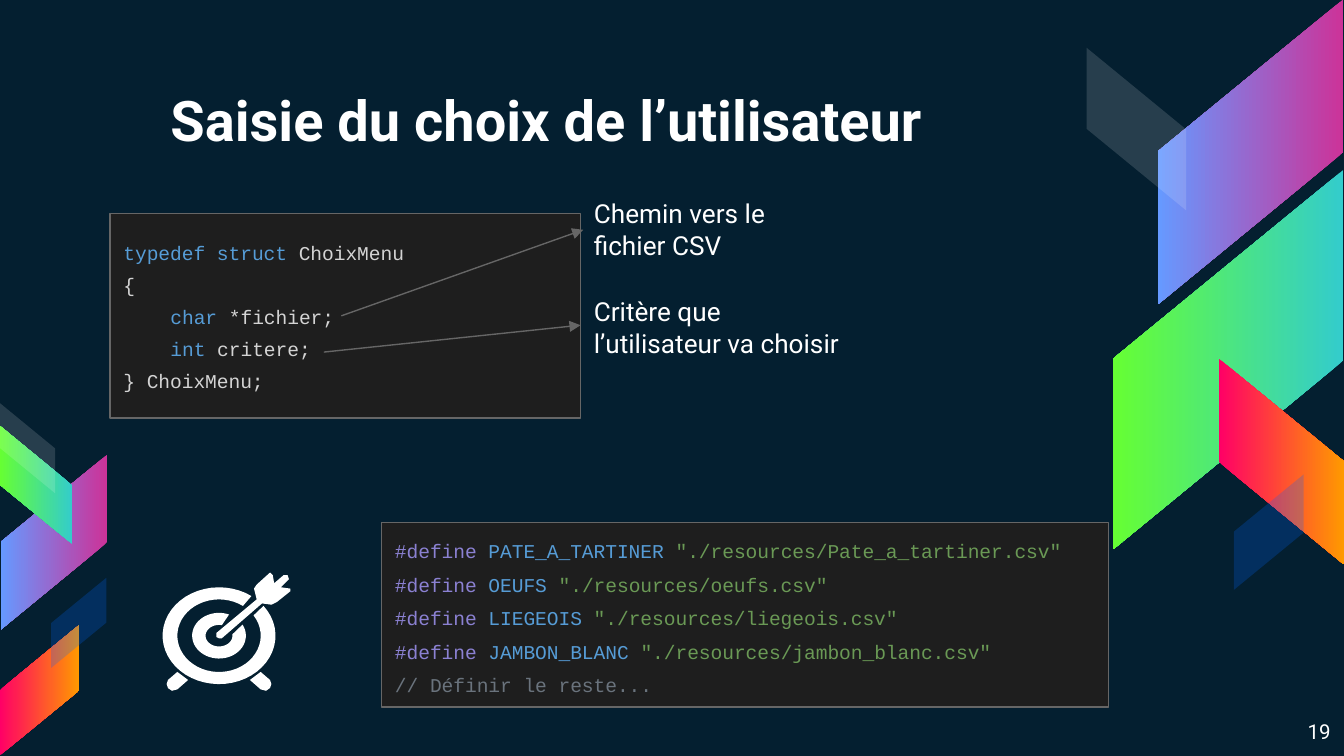
from math import cos, radians, sin

from lxml import etree
from pptx import Presentation
from pptx.dml.color import RGBColor
from pptx.enum.shapes import MSO_CONNECTOR, MSO_SHAPE
from pptx.enum.text import MSO_ANCHOR, PP_ALIGN
from pptx.oxml.ns import qn
from pptx.util import Inches, Pt

WHITE, GREY, PANEL = "FFFFFF", "666666", "1E1E1E"
KEYWORD, PLAIN, DIRECTIVE, STRING, COMMENT = "569CD6", "D4D4D4", "8B81D2", "6A9955", "6A737D"
PINK_BLUE, TEAL_GREEN, RED_ORANGE = ("CC3399", "6699FF"), ("33CCCC", "66FF33"), ("FF0066", "FF9900")
GLASS_WHITE, GLASS_BLUE = (WHITE, 14), ("0066FF", 23)

STRUCT_CODE = [
    [("typedef", KEYWORD), (" ", PLAIN), ("struct", KEYWORD), (" ChoixMenu", PLAIN)],
    [("{", PLAIN)],
    [("char", KEYWORD), (" *fichier;", PLAIN)],
    [("int", KEYWORD), (" critere;", PLAIN)],
    [("} ChoixMenu;", PLAIN)],
]
FILES = [
    ("PATE_A_TARTINER", "Pate_a_tartiner"),
    ("OEUFS", "oeufs"),
    ("LIEGEOIS", "liegeois"),
    ("JAMBON_BLANC", "jambon_blanc"),
]
DEFINE_CODE = [
    [("#define ", DIRECTIVE), (name + " ", KEYWORD), (f'"./resources/{file}.csv"', STRING)]
    for name, file in FILES
] + [[("// Définir le reste...", COMMENT)]]

# Ribbons: left, top, width, height (relative to the region), rotation, mirrored, colours
RIGHT_RIBBONS = [
    (0.44, 0.44, 2.27, 1.38, 90, True, PINK_BLUE),
    (0, 1.82, 2.82, 1.71, 90, True, TEAL_GREEN),
    (1.04, 2.97, 1.53, 0.93, 270, False, RED_ORANGE),
    (0.12, 0.59, 1.21, 0.74, 270, False, GLASS_WHITE),
    (1.28, 3.7, 0.86, 0.52, 270, True, GLASS_BLUE),
]
LEFT_RIBBONS = [
    (0, 0.51, 1.3, 0.79, 90, True, PINK_BLUE),
    (0.08, 0.21, 0.88, 0.54, 90, False, TEAL_GREEN),
    (0.06, 1.71, 0.97, 0.59, 270, True, RED_ORANGE),
    (0.12, 0, 0.67, 0.41, 270, False, GLASS_WHITE),
    (0.5, 1.3, 0.67, 0.41, 270, True, GLASS_BLUE),
]

# Target outlines, relative to the centre of the rings
FOOT = [(-0.31, 0.27), (-0.38, 0.33), (-0.39, 0.36), (-0.38, 0.39),
        (-0.35, 0.41), (-0.31, 0.4), (-0.23, 0.33), (-0.27, 0.3)]
DART = [(0.38, -0.47), (0.28, -0.38), (0.26, -0.35), (0.28, -0.27), (-0.02, -0.02),
        (-0.02, 0.01), (0, 0.02), (0.02, 0.02), (0.32, -0.24), (0.39, -0.23),
        (0.43, -0.25), (0.53, -0.33), (0.53, -0.35), (0.46, -0.36), (0.52, -0.42),
        (0.51, -0.45), (0.48, -0.45), (0.41, -0.39), (0.4, -0.45)]


def color(value):
    return RGBColor.from_string(value)


def write(shape, lines, size=14, font="Roboto", bold=False, align=PP_ALIGN.LEFT,
          anchor=MSO_ANCHOR.TOP, spacing=None, indents=(), bottom=0.1):
    """Fill a shape with lines, each a list of (text, colour) runs."""
    frame = shape.text_frame
    frame.word_wrap = True
    frame.vertical_anchor = anchor
    frame.margin_left = frame.margin_right = frame.margin_top = Inches(0.1)
    frame.margin_bottom = Inches(bottom)
    for index, line in enumerate(lines):
        paragraph = frame.add_paragraph() if index else frame.paragraphs[0]
        paragraph.alignment = align
        paragraph.line_spacing = spacing
        if index in indents:
            paragraph._p.get_or_add_pPr().set("marL", str(Inches(0.35)))
        for text, tint in line:
            run = paragraph.add_run()
            run.text = text
            run.font.size, run.font.name, run.font.bold = Pt(size), font, bold
            run.font.color.rgb = color(tint)


def add_label(slide, box, text, **style):
    shape = slide.shapes.add_textbox(*map(Inches, box))
    write(shape, [[(text, WHITE)]], **style)


def add_ribbons(slide, left, top, ribbons):
    for x, y, width, height, rotation, mirrored, (first, second) in ribbons:
        shape = slide.shapes.add_shape(MSO_SHAPE.PARALLELOGRAM, Inches(left + x), Inches(top + y),
                                       Inches(width), Inches(height))
        shape.shadow.inherit = False
        shape.adjustments[0] = 0.82
        shape.rotation = rotation
        if mirrored:
            shape._element.spPr.find(qn("a:xfrm")).set("flipH", "1")
        shape.line.fill.background()
        if isinstance(second, str):
            shape.fill.gradient()
            shape.fill.gradient_angle = 270
            for stop, tint in zip(shape.fill.gradient_stops, (first, second)):
                stop.color.rgb = color(tint)
        else:  # one colour with an opacity in percent
            shape.fill.solid()
            shape.fill.fore_color.rgb = color(first)
            fill_color = shape._element.spPr.find(qn("a:solidFill"))[0]
            etree.SubElement(fill_color, qn("a:alpha")).set("val", str(second * 1000))


def add_code_panel(slide, box, lines, **style):
    shape = slide.shapes.add_shape(MSO_SHAPE.RECTANGLE, *map(Inches, box))
    shape.shadow.inherit = False
    shape.fill.solid()
    shape.fill.fore_color.rgb = color(PANEL)
    shape.line.color.rgb = color(GREY)
    shape.line.width = Pt(0.75)
    write(shape, lines, size=10.5, font="Courier New", anchor=MSO_ANCHOR.MIDDLE, **style)


def add_arrow(slide, *ends):
    arrow = slide.shapes.add_connector(MSO_CONNECTOR.STRAIGHT, *map(Inches, ends))
    arrow.line.color.rgb = color(GREY)
    arrow.line.width = Pt(0.75)
    etree.SubElement(arrow.line._get_or_add_ln(), qn("a:tailEnd")).set("type", "triangle")
    etree.SubElement(arrow._element.spPr, qn("a:effectLst"))


def arc(radius_x, radius_y, start, end, steps=48):
    angles = [radians(start + (end - start) * step / steps) for step in range(steps + 1)]
    return [(radius_x * cos(angle), radius_y * sin(angle)) for angle in angles]


def add_target(slide, center_x, center_y):
    outlines = [
        arc(0.42, 0.36, -38, 305) + arc(0.31, 0.27, 305, -34),  # outer ring
        arc(0.2, 0.17, -29, 292) + arc(0.1, 0.08, 282, -7),  # inner ring
        FOOT,
        [(-x, y) for x, y in FOOT],
        DART,
    ]
    for outline in outlines:
        points = [(Inches(center_x + x), Inches(center_y + y)) for x, y in outline]
        builder = slide.shapes.build_freeform(*points[0])
        builder.add_line_segments(points[1:], close=True)
        shape = builder.convert_to_shape()
        shape.shadow.inherit = False
        shape.fill.solid()
        shape.fill.fore_color.rgb = color(WHITE)
        shape.line.fill.background()


def main():
    presentation = Presentation()
    presentation.slide_width = Inches(10)
    presentation.slide_height = presentation.slide_width * 9 // 16
    slide = presentation.slides.add_slide(presentation.slide_layouts[6])
    slide.background.fill.solid()
    slide.background.fill.fore_color.rgb = color("041F30")

    # Side decoration
    add_ribbons(slide, 7.73, 0, RIGHT_RIBBONS)
    add_ribbons(slide, -0.25, 3.13, LEFT_RIBBONS)

    # Title, field notes and page number
    add_label(slide, (1.17, 0.54, 6.53, 0.7), "Saisie du choix de l’utilisateur",
              size=30, bold=True, anchor=MSO_ANCHOR.BOTTOM)
    add_label(slide, (4.32, 2.1, 2.13, 0.75), "Critère que l’utilisateur va choisir")
    add_label(slide, (4.32, 1.37, 1.92, 0.6), "Chemin vers le fichier CSV")
    add_label(slide, (9.36, 5.26, 0.64, 0.36), "19", size=11, align=PP_ALIGN.RIGHT)

    # Code panels and the arrows from fields to notes
    add_code_panel(slide, (0.82, 1.59, 3.5, 1.52), STRUCT_CODE,
                   spacing=1.36, indents=(2, 3), bottom=0.15)
    add_code_panel(slide, (2.84, 3.89, 5.41, 1.37), DEFINE_CODE, spacing=1.43, bottom=0.13)
    add_arrow(slide, 2.54, 2.35, 4.34, 1.71)
    add_arrow(slide, 2.41, 2.62, 4.32, 2.42)

    # Target icon
    add_target(slide, 1.63, 4.73)

    presentation.save("out.pptx")


if __name__ == "__main__":
    main()
